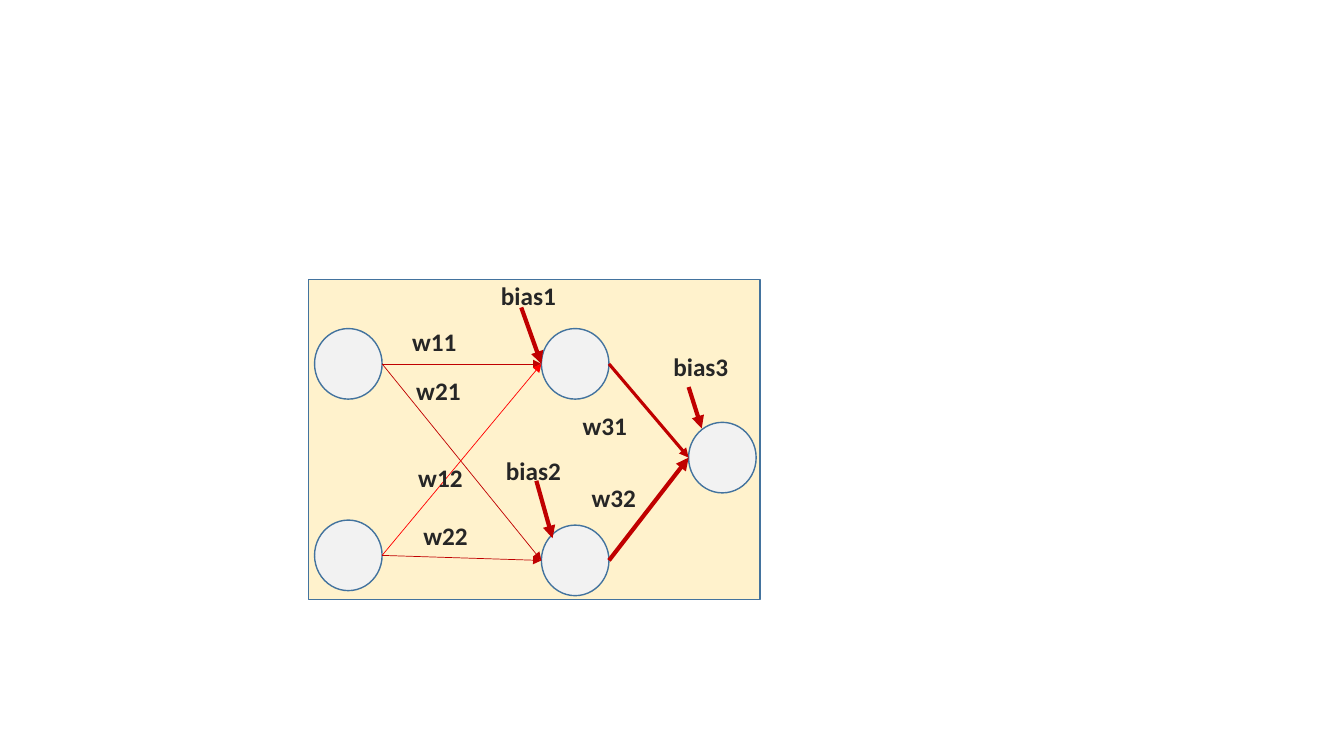
"""Draw a small neural network with two inputs, two hidden nodes and one output."""
from typing import NamedTuple

from pptx import Presentation
from pptx.dml.color import RGBColor
from pptx.enum.shapes import MSO_CONNECTOR, MSO_SHAPE
from pptx.enum.text import MSO_AUTO_SIZE
from pptx.oxml.ns import qn
from pptx.shapes.shapetree import SlideShapes
from pptx.util import Emu, Pt
from lxml.etree import SubElement

SCALE = 9144
CREAM = RGBColor(0xFF, 0xF2, 0xCC)
GREY = RGBColor(0xF2, 0xF2, 0xF2)
BLUE = RGBColor(0x43, 0x73, 0x9E)
CRIMSON = RGBColor(0xC0, 0x00, 0x00)
RED = RGBColor(0xFF, 0x00, 0x00)
INK = RGBColor(0x26, 0x26, 0x26)


class Point(NamedTuple):
    x: int
    y: int


class Node(NamedTuple):
    left: int
    top: int
    width: int = 67
    height: int = 70

    @property
    def entry(self) -> Point:
        return Point(self.left, self.top + self.height // 2)

    @property
    def exit(self) -> Point:
        return Point(self.left + self.width, self.top + self.height // 2)


class Arrow(NamedTuple):
    start: Point
    end: Point
    weight: float
    color: RGBColor = CRIMSON


class Label(NamedTuple):
    text: str
    left: int
    top: int
    width: int


IN_1, IN_2 = Node(312, 326), Node(312, 516)
HID_1, HID_2 = Node(537, 326), Node(537, 521)
OUT = Node(683, 419)
PANEL = Node(306, 277, 448, 318)

ARROWS = [
    Arrow(IN_1.exit, HID_1.entry, 0.5),
    Arrow(IN_1.exit, HID_2.entry, 0.5),
    Arrow(IN_2.exit, HID_1.entry, 0.5, RED),
    Arrow(IN_2.exit, HID_2.entry, 0.5),
    Arrow(HID_1.exit, OUT.entry, 2.25),
    Arrow(HID_2.exit, OUT.entry, 3),
    Arrow(Point(517, 305), HID_1.entry, 3),
    Arrow(Point(532, 477), Point(548, 534), 3),
    Arrow(Point(683, 384), Point(696, 425), 3),
]

LABELS = [
    Label("bias1", 487, 273, 92),
    Label("bias2", 492, 447, 84),
    Label("bias3", 658, 344, 92),
    Label("w11", 399, 319, 83),
    Label("w21", 403, 367, 79),
    Label("w12", 405, 454, 97),
    Label("w22", 410, 511, 66),
    Label("w31", 568, 402, 93),
    Label("w32", 577, 474, 93),
]


def px(count: int) -> Emu:
    """Turn px into EMU."""
    return Emu(count * SCALE)


def draw_node(shapes: SlideShapes, kind: MSO_SHAPE, node: Node, fill: RGBColor) -> None:
    """Draw a filled shape with a blue outline."""
    shape = shapes.add_shape(kind, *map(px, node))
    shape.shadow.inherit = False
    shape.fill.solid()
    shape.fill.fore_color.rgb = fill
    shape.line.color.rgb = BLUE
    shape.line.width = Pt(1)


def draw_arrow(shapes: SlideShapes, arrow: Arrow) -> None:
    """Draw a straight line with a triangle at its end."""
    line = shapes.add_connector(
        MSO_CONNECTOR.STRAIGHT, *map(px, arrow.start), *map(px, arrow.end)
    )
    line.line.color.rgb = arrow.color
    line.line.width = Pt(arrow.weight)
    props = line._element.spPr
    SubElement(props.find(qn("a:ln")), qn("a:tailEnd"), type="triangle")
    SubElement(props, qn("a:effectLst"))


def draw_label(shapes: SlideShapes, label: Label) -> None:
    """Write a bold label."""
    box = shapes.add_textbox(px(label.left), px(label.top), px(label.width), px(40))
    frame = box.text_frame
    frame.word_wrap = True
    frame.auto_size = MSO_AUTO_SIZE.SHAPE_TO_FIT_TEXT
    para = frame.paragraphs[0]
    para.text = label.text
    font = para.font
    font.name = "Calibri"
    font.size = Pt(18)
    font.bold = True
    font.color.rgb = INK


def main() -> None:
    """Build and save the slide."""
    deck = Presentation()
    deck.slide_width, deck.slide_height = px(1333), px(750)
    shapes = deck.slides.add_slide(deck.slide_layouts[6]).shapes
    draw_node(shapes, MSO_SHAPE.RECTANGLE, PANEL, CREAM)
    for node in (IN_1, IN_2, HID_1, HID_2, OUT):
        draw_node(shapes, MSO_SHAPE.OVAL, node, GREY)
    for arrow in ARROWS:
        draw_arrow(shapes, arrow)
    for label in LABELS:
        draw_label(shapes, label)
    deck.save("out.pptx")


if __name__ == "__main__":
    main()
